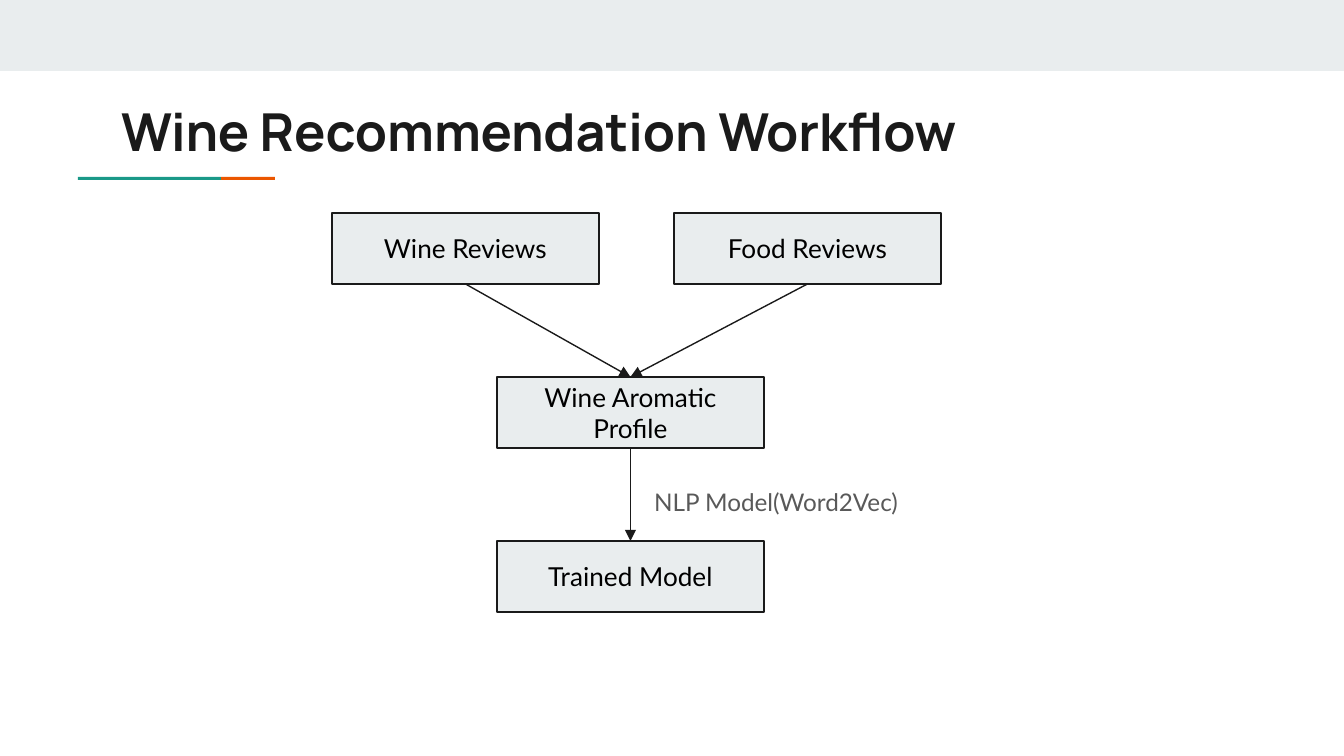
import pptx
import pptx.util
import pptx.dml.color
import pptx.enum.shapes
import pptx.enum.text
import pptx.oxml
import pptx.oxml.ns
from lxml import etree

TITLE = "Wine Recommendation Workflow"
NOTE = "NLP Model(Word2Vec)"
STEPS = {
    "wine": ("Wine Reviews", 332, 0),
    "food": ("Food Reviews", 674, 0),
    "aroma": ("Wine Aromatic Profile", 497, 1),
    "model": ("Trained Model", 497, 2),
}
LINKS = [("wine", "aroma"), ("food", "aroma"), ("aroma", "model")]
BARS = [(0, 0, 1344, 71, "band"), (78, 177, 143, 3, "teal"), (221, 177, 54, 3, "orange")]
TOP, STEP, WIDE, HIGH = 213, 164, 267, 71
THEME = {
    "band": "E9EDEE", "teal": "1A9988", "orange": "EB5600", "ink": "1A1A1A",
    "black": "000000", "gray": "595959",
    "head": "Manrope", "body": "Lato",
    "title": 28, "step": 14, "note": 13, "line": 0.75,
}
SHAPE = pptx.enum.shapes.MSO_SHAPE.RECTANGLE
LINK = pptx.enum.shapes.MSO_CONNECTOR.STRAIGHT
ALIGN = pptx.enum.text.PP_ALIGN
ANCHOR = pptx.enum.text.MSO_ANCHOR


def px(*sizes):
    return [pptx.util.Emu(round(size * 914400 / 134.4)) for size in sizes]


def color(name):
    return pptx.dml.color.RGBColor.from_string(THEME[name])


def write(shape, text, size="step", font="body", ink="black", align=ALIGN.LEFT,
          anchor=ANCHOR.TOP, bold=False):
    frame = shape.text_frame
    frame.word_wrap = True
    frame.vertical_anchor = anchor
    inset = pptx.util.Inches(0.1)
    frame.margin_left = frame.margin_right = inset
    frame.margin_top = frame.margin_bottom = inset
    para = frame.paragraphs[0]
    para.alignment = align
    run = para.add_run()
    run.text = text
    run.font.name = THEME[font]
    run.font.size = pptx.util.Pt(THEME[size])
    run.font.bold = bold
    run.font.color.rgb = color(ink)


def block(slide, x, y, w, h, fill, line=None):
    shape = slide.shapes.add_shape(SHAPE, *px(x, y, w, h))
    shape.shadow.inherit = False
    shape.fill.solid()
    shape.fill.fore_color.rgb = color(fill)
    if line:
        shape.line.color.rgb = color(line)
        shape.line.width = pptx.util.Pt(THEME["line"])
    else:
        shape.line.fill.background()
    return shape


def arrow(slide, start, end):
    line = slide.shapes.add_connector(LINK, 0, 0, 0, 0)
    line.begin_connect(start, 2)
    line.end_connect(end, 0)
    line.line.color.rgb = color("ink")
    line.line.width = pptx.util.Pt(THEME["line"])
    tip = etree.SubElement(line.line._get_or_add_ln(), pptx.oxml.ns.qn("a:tailEnd"))
    tip.set("type", "triangle")
    etree.SubElement(line._element.spPr, pptx.oxml.ns.qn("a:effectLst"))


def main():
    deck = pptx.Presentation()
    deck.slide_width, deck.slide_height = px(1344, 756)
    slide = deck.slides.add_slide(deck.slide_layouts[6])
    for x, y, w, h, fill in BARS:
        block(slide, x, y, w, h, fill)
    title = slide.shapes.add_textbox(*px(108, 86, 1130, 79))
    write(title, TITLE, size="title", font="head", ink="ink", bold=True)
    steps = {}
    for key, (text, x, row) in STEPS.items():
        steps[key] = block(slide, x, TOP + row * STEP, WIDE, HIGH, "band", "ink")
        write(steps[key], text, align=ALIGN.CENTER, anchor=ANCHOR.MIDDLE)
    for start, end in LINKS:
        arrow(slide, steps[start], steps[end])
    note = slide.shapes.add_textbox(*px(641, 474, 375, 40))
    write(note, NOTE, size="note", ink="gray")
    deck.save("out.pptx")


if __name__ == "__main__":
    main()
